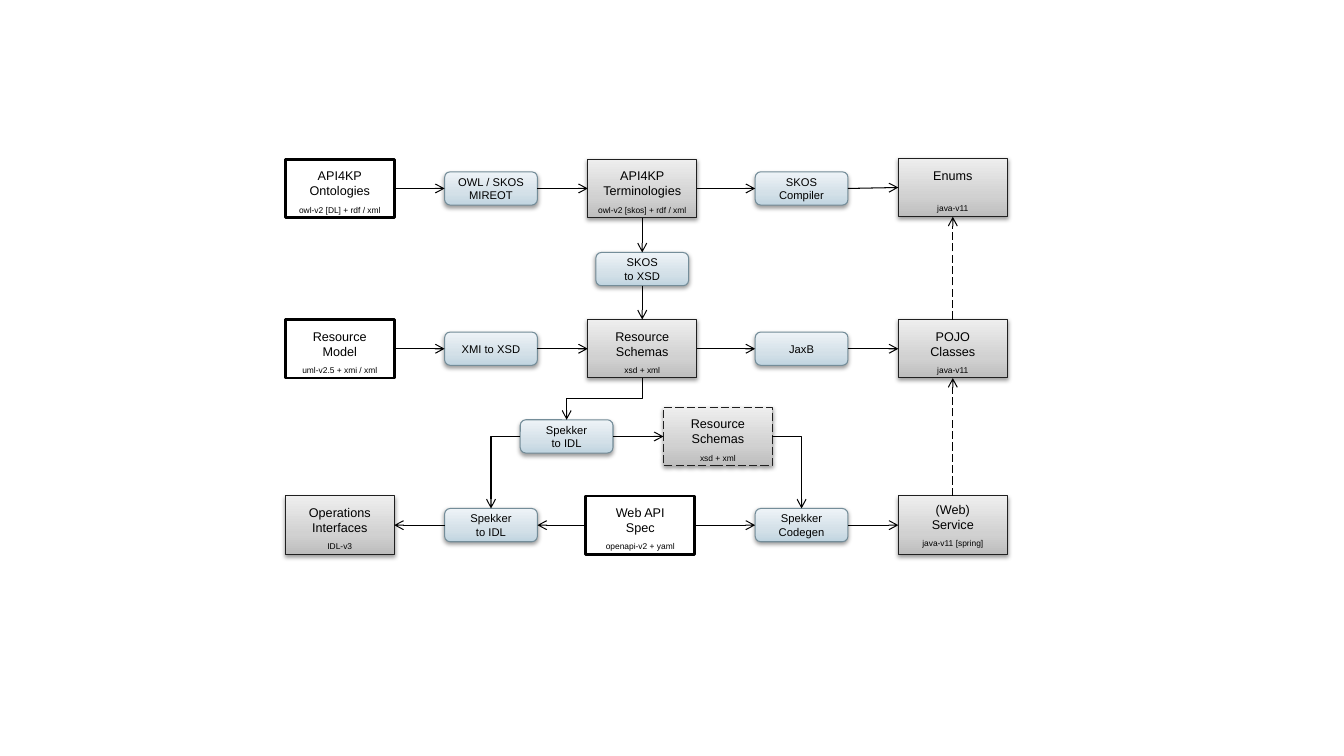
from lxml import etree
from pptx import Presentation
from pptx.dml.color import RGBColor
from pptx.enum.dml import MSO_LINE
from pptx.enum.shapes import MSO_CONNECTOR, MSO_SHAPE
from pptx.enum.text import MSO_ANCHOR, PP_ALIGN
from pptx.oxml.ns import qn
from pptx.util import Inches, Pt

LONG_DASH = MSO_LINE.LONG_DASH
STRAIGHT, ELBOW = MSO_CONNECTOR.STRAIGHT, MSO_CONNECTOR.ELBOW
RECTANGLE, ROUNDED = MSO_SHAPE.RECTANGLE, MSO_SHAPE.ROUNDED_RECTANGLE
MIDDLE, CENTER = MSO_ANCHOR.MIDDLE, PP_ALIGN.CENTER
TOP, LEFT, BOTTOM, RIGHT = range(4)

FONT, BLACK, WHITE = "Arial", "000000", "FFFFFF"
GREY = [(0, "BDBDBD"), (35, "D1D1D1"), (100, "EEEEEE")]
BLUE = [(0, "C0D4E0"), (35, "D3E0E8"), (100, "EEF3F7")]

# kind: geometry, width, height, gradient, line colour, line width, dash
KINDS = {
    "source": (RECTANGLE, 1.08, 0.58, None, BLACK, 2, None),
    "product": (RECTANGLE, 1.08, 0.58, GREY, "202020", 0.75, None),
    "passed": (RECTANGLE, 1.08, 0.58, GREY, "202020", 0.75, LONG_DASH),
    "tool": (ROUNDED, 0.92, 0.33, BLUE, "748D99", 0.75, None),
}
COLUMNS = {"a": 3.37, "b": 4.87, "bc": 5.62, "c": 6.37, "cd": 7.12, "d": 7.95, "e": 9.45}
ROWS = [1.87, 2.67, 3.46, 4.33, 5.21]
TITLE_INSET, NOTE_GAP = 0.06, 4.6

ARTIFACTS = {
    "ontologies": ("source", "a", 0, "API4KP\nOntologies", "owl-v2 [DL] + rdf / xml"),
    "model": ("source", "a", 2, "Resource\nModel", "uml-v2.5 + xmi / xml"),
    "interfaces": ("product", "a", 4, "Operations\nInterfaces", "IDL-v3"),
    "terminologies": ("product", "c", 0, "API4KP\nTerminologies", "owl-v2 [skos] + rdf / xml"),
    "schemas": ("product", "c", 2, "Resource\nSchemas", "xsd + xml"),
    "api": ("source", "c", 4, "Web API\nSpec", "openapi-v2 + yaml"),
    "enums": ("product", "e", 0, "Enums", "java-v11"),
    "classes": ("product", "e", 2, "POJO\nClasses", "java-v11"),
    "service": ("product", "e", 4, "(Web)\nService", "java-v11 [spring]"),
    "passed schemas": ("passed", "cd", 3, "Resource\nSchemas", "xsd + xml"),
    "mireot": ("tool", "b", 0, "OWL / SKOS\nMIREOT", ""),
    "compiler": ("tool", "d", 0, "SKOS\nCompiler", ""),
    "skos to xsd": ("tool", "c", 1, "SKOS\nto XSD", ""),
    "xmi to xsd": ("tool", "b", 2, "XMI to XSD", ""),
    "jaxb": ("tool", "d", 2, "JaxB", ""),
    "schema to idl": ("tool", "bc", 3, "Spekker\nto IDL", ""),
    "api to idl": ("tool", "b", 4, "Spekker\nto IDL", ""),
    "codegen": ("tool", "d", 4, "Spekker\nCodegen", ""),
}
NUDGES = {"enums": (0, -0.01), "api": (-0.02, 0)}
NO_INSET = {"service"}
NOTE_GAPS = {"enums": 15}

FLOWS = [
    (RIGHT, LEFT, None, [
        ["ontologies", "mireot", "terminologies", "compiler", "enums"],
        ["model", "xmi to xsd", "schemas", "jaxb", "classes"],
        ["api", "codegen", "service"],
        ["schema to idl", "passed schemas"]]),
    (LEFT, RIGHT, None, [["api", "api to idl", "interfaces"]]),
    (BOTTOM, TOP, None, [["terminologies", "skos to xsd", "schemas"]]),
    (TOP, BOTTOM, LONG_DASH, [["service", "classes", "enums"]]),
]
BENDS = [
    ("schemas", BOTTOM, "schema to idl", "bentConnector3"),
    ("passed schemas", RIGHT, "codegen", "bentConnector2"),
    ("schema to idl", LEFT, "api to idl", "bentConnector2"),
]


def color(value):
    return RGBColor.from_string(value)


def add_child(parent, tag, **attributes):
    return etree.SubElement(parent, qn(tag), attributes)


def paint_gradient(shape, stops):
    shape.fill.gradient()
    shape.fill.gradient_angle = 90
    stop_list = shape._element.spPr.find(".//" + qn("a:gsLst"))
    for stop in list(stop_list):
        stop_list.remove(stop)
    for position, value in stops:
        stop = add_child(stop_list, "a:gs", pos=str(position * 1000))
        add_child(stop, "a:srgbClr", val=value)


def add_shadow(shape):
    effects = shape._element.spPr.find(qn("a:effectLst"))
    shadow = add_child(effects, "a:outerShdw", blurRad=str(Pt(3.1)),
                       dist=str(Pt(1.6)), dir="5400000", rotWithShape="0")
    shade = add_child(shadow, "a:srgbClr", val=BLACK)
    add_child(shade, "a:alpha", val="38000")


def add_lines(para, text, size):
    para.alignment = CENTER
    for index, line in enumerate(text.split("\n")):
        if index:
            para.add_line_break()
        span = para.add_run()
        span.text = line
        span.font.name = FONT
        span.font.size = Pt(size)
        span.font.color.rgb = color(BLACK)


def add_artifact(page, name):
    kind, column, row, title, note = ARTIFACTS[name]
    geometry, width, height, stops, edge, weight, dash = KINDS[kind]
    shift_x, shift_y = NUDGES.get(name, (0, 0))
    left = COLUMNS[column] - width / 2 + shift_x
    top = ROWS[row] - height / 2 + shift_y
    box = page.shapes.add_shape(geometry, Inches(left), Inches(top),
                                Inches(width), Inches(height))
    box.shadow.inherit = False
    if stops:
        paint_gradient(box, stops)
        add_shadow(box)
    else:
        box.fill.solid()
        box.fill.fore_color.rgb = color(WHITE)
    box.line.color.rgb = color(edge)
    box.line.width = Pt(weight)
    if dash:
        box.line.dash_style = dash
    frame = box.text_frame
    frame.word_wrap = True
    frame.vertical_anchor = MIDDLE
    frame.margin_left = frame.margin_right = frame.margin_bottom = 0
    frame.margin_top = Inches(TITLE_INSET if note and name not in NO_INSET else 0)
    add_lines(frame.paragraphs[0], title, 9 if note else 8)
    if note:
        para = frame.add_paragraph()
        para.space_before = Pt(NOTE_GAPS.get(name, NOTE_GAP))
        add_lines(para, note, 6)
    return box


def add_arrow(page, kind, start, start_side, end, end_side, dash=None):
    arrow = page.shapes.add_connector(kind, 0, 0, 0, 0)
    arrow.begin_connect(start, start_side)
    arrow.end_connect(end, end_side)
    arrow.line.color.rgb = color(BLACK)
    arrow.line.width = Pt(0.75)
    if dash:
        arrow.line.dash_style = dash
    add_child(arrow.line._get_or_add_ln(), "a:tailEnd", type="arrow")
    add_child(arrow._element.spPr, "a:effectLst")
    return arrow


def turn_downward(arrow):
    center_x = arrow.left + arrow.width // 2
    center_y = arrow.top + arrow.height // 2
    arrow.width, arrow.height = arrow.height, arrow.width
    arrow.left = center_x - arrow.width // 2
    arrow.top = center_y - arrow.height // 2
    frame = arrow._element.spPr.find(qn("a:xfrm"))
    frame.attrib.pop("flipH", None)
    frame.set("rot", "5400000")


def main():
    deck = Presentation()
    deck.slide_width, deck.slide_height = Inches(13.33), Inches(7.5)
    page = deck.slides.add_slide(deck.slide_layouts[6])
    boxes = {name: add_artifact(page, name) for name in ARTIFACTS}
    for start_side, end_side, dash, chains in FLOWS:
        for chain in chains:
            for start, end in zip(chain, chain[1:]):
                add_arrow(page, STRAIGHT, boxes[start], start_side,
                          boxes[end], end_side, dash)
    for start, side, end, geometry in BENDS:
        arrow = add_arrow(page, ELBOW, boxes[start], side, boxes[end], TOP)
        arrow._element.spPr.find(qn("a:prstGeom")).set("prst", geometry)
        if side == BOTTOM:
            turn_downward(arrow)
    deck.save("out.pptx")


if __name__ == "__main__":
    main()
